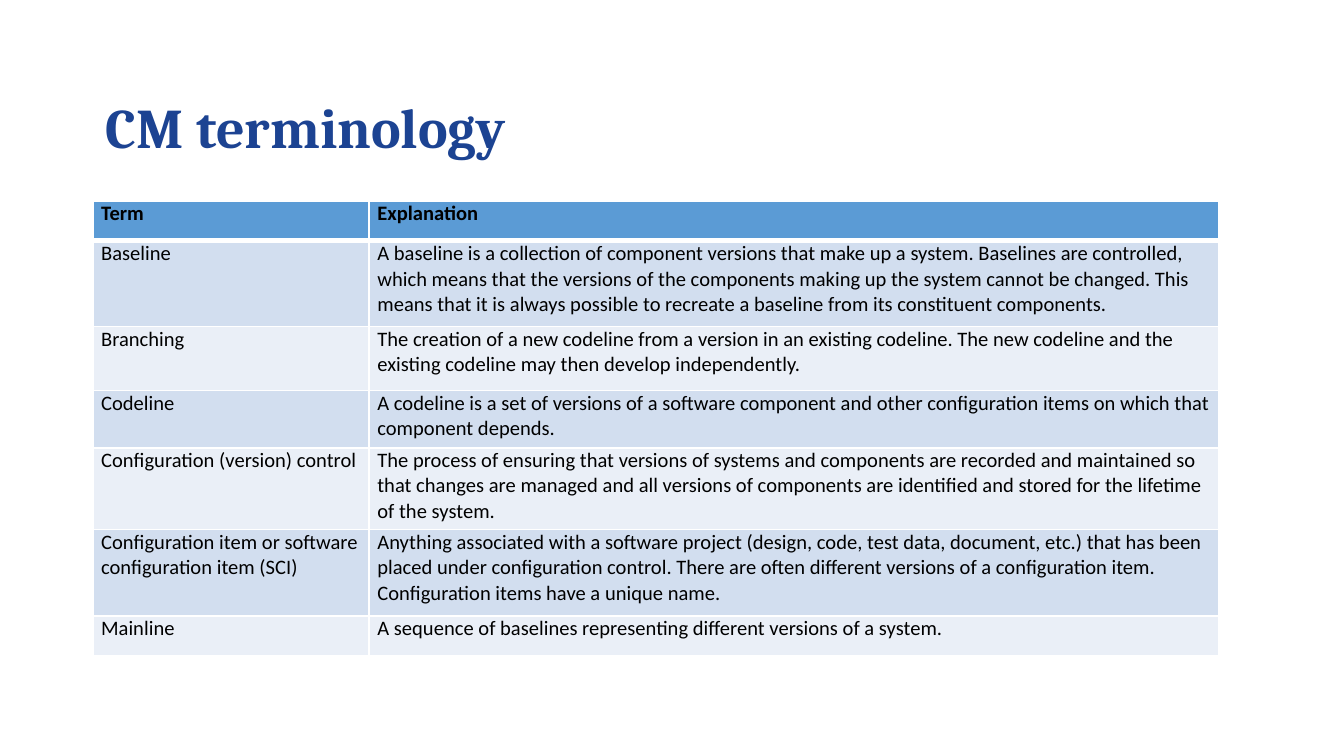
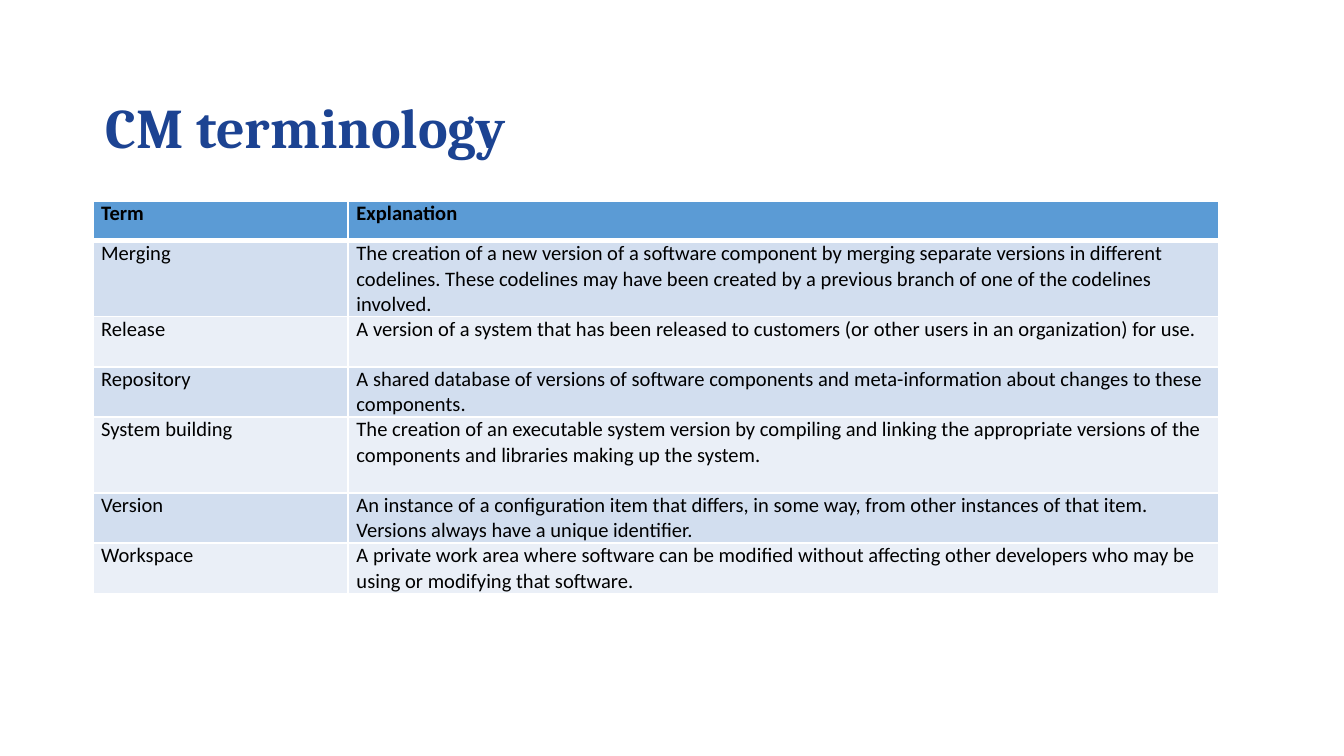
"""Build two slides of configuration management terminology tables."""
from dataclasses import dataclass

from lxml.etree import SubElement
from pptx import Presentation
from pptx.dml.color import RGBColor
from pptx.enum.text import MSO_ANCHOR, PP_ALIGN
from pptx.oxml.ns import qn
from pptx.slide import Slide
from pptx.table import _Cell
from pptx.util import Pt

TITLE = "CM terminology"
NAVY, BLACK, WHITE = "1C4392", "000000", "FFFFFF"
HEADER_FILL = "5B9BD5"
BAND_FILLS = ("D2DEEF", "EAEFF7")
LEFT, WIDTH = 49.7, 603.4
TITLE_TOP, TITLE_HEIGHT = 44.8, 49.8
TABLE_TOP, HEADER_HEIGHT = 107.6, 21.5
THIN, THICK = 1, 3


@dataclass(frozen=True)
class Entry:
    """A term, its explanation and its row height in points."""
    term: str
    explanation: str
    height: float
    justified: bool = False


@dataclass(frozen=True)
class Glossary:
    """The entries of one slide and the width of the term column."""
    term_width: float
    entries: tuple[Entry, ...]


HEADER = Entry("Term", "Explanation", HEADER_HEIGHT, True)

GLOSSARIES = (
    Glossary(148, (
        Entry("Baseline",
              "A baseline is a collection of component versions that make up a system. "
              "Baselines are controlled, which means that the versions of the components "
              "making up the system cannot be changed. This means that it is always "
              "possible to recreate a baseline from its constituent components.", 45.8),
        Entry("Branching",
              "The creation of a new codeline from a version in an existing codeline. "
              "The new codeline and the existing codeline may then develop "
              "independently.", 34.4),
        Entry("Codeline",
              "A codeline is a set of versions of a software component and other "
              "configuration items on which that component depends.", 30.7),
        Entry("Configuration (version) control",
              "The process of ensuring that versions of systems and components are "
              "recorded and maintained so that changes are managed and all versions of "
              "components are identified and stored for the lifetime of the system.", 43.8),
        Entry("Configuration item or software configuration item (SCI)",
              "Anything associated with a software project (design, code, test data, "
              "document, etc.) that has been placed under configuration control. There "
              "are often different versions of a configuration item. Configuration items "
              "have a unique name.", 46.2),
        Entry("Mainline",
              "A sequence of baselines representing different versions of a system.",
              21.5, True),
    )),
    Glossary(136.8, (
        Entry("Merging",
              "The creation of a new version of a software component by merging separate "
              "versions in different codelines. These codelines may have been created by "
              "a previous branch of one of the codelines involved.", 40.5),
        Entry("Release",
              "A version of a system that has been released to customers (or other users "
              "in an organization) for use.", 27),
        Entry("Repository",
              "A shared database of versions of software components and "
              "meta-information about changes to these components.", 27),
        Entry("System building",
              "The creation of an executable system version by compiling and linking the "
              "appropriate versions of the components and libraries making up the "
              "system.", 40.5),
        Entry("Version",
              "An instance of a configuration item that differs, in some way, from other "
              "instances of that item. Versions always have a unique identifier.", 27),
        Entry("Workspace",
              "A private work area where software can be modified without affecting "
              "other developers who may be using or modifying that software.", 27),
    )),
)


def rgb(color: str) -> RGBColor:
    """Return the colour for a hex string."""
    return RGBColor.from_string(color)


def add_run(p, text: str, font: str, size: float, color: str, bold: bool) -> None:
    """Add a formatted run to a paragraph."""
    r = p.add_run()
    r.text = text
    r.font.name, r.font.size, r.font.bold = font, Pt(size), bold
    r.font.color.rgb = rgb(color)


def add_title(s: Slide) -> None:
    """Add the shared slide title."""
    box = s.shapes.add_textbox(Pt(LEFT), Pt(TITLE_TOP), Pt(WIDTH), Pt(TITLE_HEIGHT))
    tf = box.text_frame
    tf.word_wrap = True
    tf.vertical_anchor = MSO_ANCHOR.MIDDLE
    p = tf.paragraphs[0]
    p.line_spacing = 0.9
    add_run(p, TITLE, "Cambria", 30, NAVY, True)


def set_borders(cell: _Cell, top: float, bottom: float) -> None:
    """Draw white borders around a cell."""
    tc_pr = cell._tc.get_or_add_tcPr()
    for side, width in (("L", THIN), ("R", THIN), ("T", top), ("B", bottom)):
        ln = SubElement(tc_pr, qn(f"a:ln{side}"), w=str(Pt(width)))
        fill = SubElement(ln, qn("a:solidFill"))
        SubElement(fill, qn("a:srgbClr"), val=WHITE)


def fill_cell(cell: _Cell, text: str, row: int, justified: bool) -> None:
    """Write and style one table cell."""
    set_borders(cell, THICK if row == 1 else THIN, THICK if row == 0 else THIN)
    cell.fill.solid()
    cell.fill.fore_color.rgb = rgb(BAND_FILLS[(row - 1) % 2] if row else HEADER_FILL)
    cell.margin_left = cell.margin_right = Pt(4.5)
    cell.margin_top = cell.margin_bottom = Pt(0)
    p = cell.text_frame.paragraphs[0]
    p.alignment = PP_ALIGN.JUSTIFY if justified else PP_ALIGN.LEFT
    p.space_after = Pt(2)
    add_run(p, text, "Calibri", 11, BLACK, row == 0)


def add_glossary(s: Slide, glossary: Glossary) -> None:
    """Add the table of terms and explanations."""
    rows = (HEADER, *glossary.entries)
    height = sum(entry.height for entry in rows)
    table = s.shapes.add_table(len(rows), 2, Pt(LEFT), Pt(TABLE_TOP),
                               Pt(WIDTH), Pt(height)).table
    table.columns[0].width = Pt(glossary.term_width)
    table.columns[1].width = Pt(WIDTH - glossary.term_width)
    for i, entry in enumerate(rows):
        table.rows[i].height = Pt(entry.height)
        fill_cell(table.cell(i, 0), entry.term, i, entry.justified)
        fill_cell(table.cell(i, 1), entry.explanation, i, i == 0)


def main() -> None:
    """Build and save the presentation."""
    prs = Presentation()
    prs.slide_width, prs.slide_height = Pt(720), Pt(405)
    for glossary in GLOSSARIES:
        s = prs.slides.add_slide(prs.slide_layouts[6])
        add_glossary(s, glossary)
        add_title(s)
    prs.save("out.pptx")


if __name__ == "__main__":
    main()
